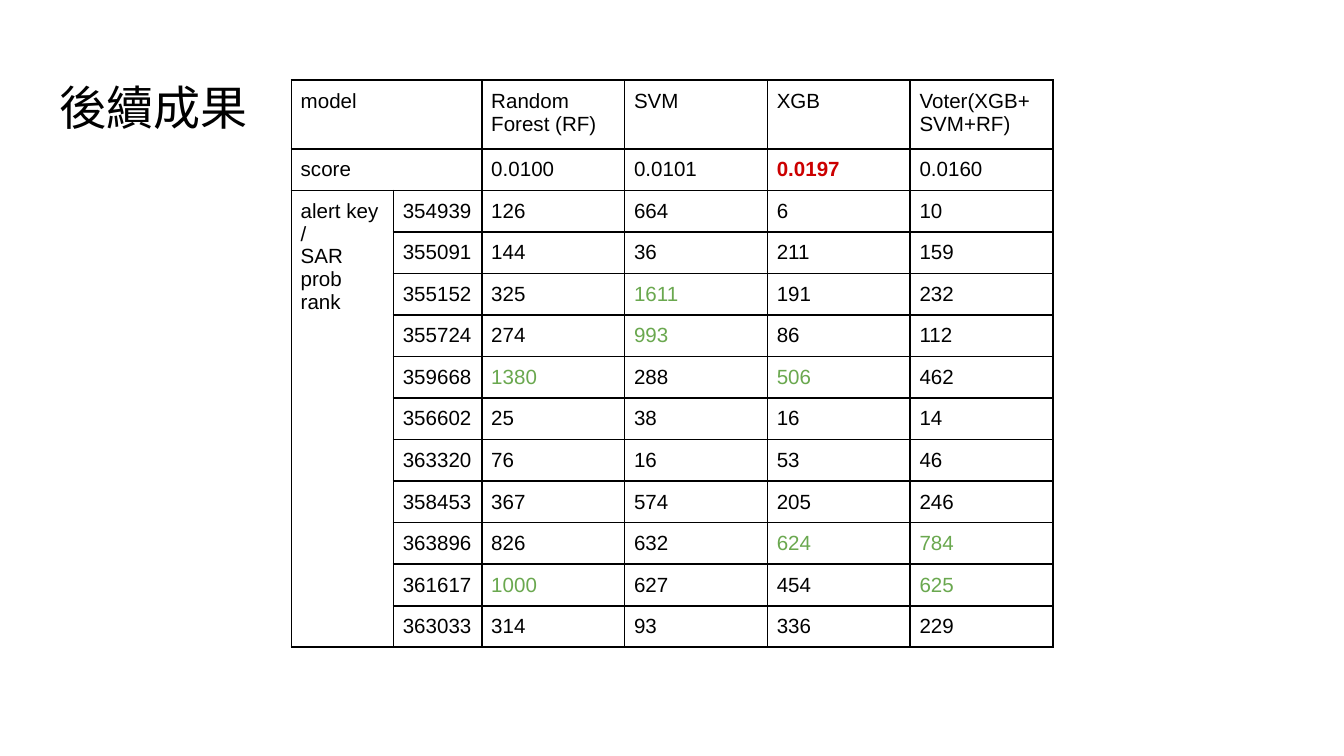
from lxml.etree import SubElement
from pptx import Presentation
from pptx.dml.color import RGBColor as RGB
from pptx.enum.text import MSO_ANCHOR as Anchor, MSO_AUTO_SIZE as AutoSize, PP_ALIGN as Align
from pptx.oxml.ns import qn
from pptx.util import Pt

FONT = "Arial"
BLACK, RED, GREEN = "000000", "CC0000", "6AA84F"

MODELS = ["Random Forest (RF)", "SVM", "XGB", "Voter(XGB+SVM+RF)"]
SCORES = ["0.0100", "0.0101", "0.0197", "0.0160"]
# Rank of each alert key under each model
RANKS = {
    354939: [126, 664, 6, 10],
    355091: [144, 36, 211, 159],
    355152: [325, 1611, 191, 232],
    355724: [274, 993, 86, 112],
    359668: [1380, 288, 506, 462],
    356602: [25, 38, 16, 14],
    363320: [76, 16, 53, 46],
    358453: [367, 574, 205, 246],
    363896: [826, 632, 624, 784],
    361617: [1000, 627, 454, 625],
    363033: [314, 93, 336, 229],
}
COL_WIDTHS = [54.7, 47.4] + [76.5] * len(MODELS)
ROW_HEIGHTS = [36.7, 22.3, 22.3] + [21] * (len(RANKS) - 1)


def rgb(color):
    return RGB.from_string(color)


def style_paragraph(p, size, color=BLACK, bold=False):
    p.alignment = Align.LEFT
    p.font.name = FONT
    p.font.size = Pt(size)
    p.font.bold = bold
    p.font.color.rgb = rgb(color)


def add_title(s, text):
    sp = s.shapes.title
    sp.left, sp.top, sp.width, sp.height = Pt(24.5), Pt(35), Pt(671), Pt(45.4)
    tf = sp.text_frame
    tf.text = text
    tf.word_wrap = True
    tf.auto_size = AutoSize.NONE
    tf.vertical_anchor = Anchor.TOP
    tf.margin_left = tf.margin_right = tf.margin_top = tf.margin_bottom = Pt(7.2)
    style_paragraph(tf.paragraphs[0], 25.2)


def set_borders(cell, color=BLACK, width=1):
    tc_pr = cell._tc.get_or_add_tcPr()
    for side in ("a:lnL", "a:lnR", "a:lnT", "a:lnB"):
        ln = SubElement(tc_pr, qn(side), w=str(Pt(width)))
        fill = SubElement(ln, qn("a:solidFill"))
        SubElement(fill, qn("a:srgbClr"), val=color)


def fill_cell(cell, text, color=BLACK, bold=False):
    cell.text = str(text)
    for p in cell.text_frame.paragraphs:
        style_paragraph(p, 11, color, bold)


def add_grid(s, left, top):
    frame = s.shapes.add_table(len(ROW_HEIGHTS), len(COL_WIDTHS), Pt(left), Pt(top),
                               Pt(sum(COL_WIDTHS)), Pt(sum(ROW_HEIGHTS)))
    table = frame.table
    table.first_row = table.horz_banding = False
    for column, width in zip(table.columns, COL_WIDTHS):
        column.width = Pt(width)
    for row, height in zip(table.rows, ROW_HEIGHTS):
        row.height = Pt(height)
    for cell in table.iter_cells():
        cell.margin_left = cell.margin_right = cell.margin_top = cell.margin_bottom = Pt(5)
        set_borders(cell)
        cell.fill.background()
    return table


def fill_results(table):
    # Row labels, merged over the key column or down the key rows
    for row, label in enumerate(["model", "score"]):
        table.cell(row, 0).merge(table.cell(row, 1))
        fill_cell(table.cell(row, 0), label)
    table.cell(2, 0).merge(table.cell(len(RANKS) + 1, 0))
    fill_cell(table.cell(2, 0), "alert key\n/\nSAR prob rank")
    for row, key in enumerate(RANKS, 2):
        fill_cell(table.cell(row, 1), key)

    # One column per model: best score in red, two worst ranks in green
    for col, (model, score, ranks) in enumerate(zip(MODELS, SCORES, zip(*RANKS.values())), 2):
        best = score == max(SCORES)
        worst = sorted(ranks)[-2:]
        fill_cell(table.cell(0, col), model)
        fill_cell(table.cell(1, col), score, RED if best else BLACK, best)
        for row, rank in enumerate(ranks, 2):
            fill_cell(table.cell(row, col), rank, GREEN if rank in worst else BLACK)


def main():
    prs = Presentation()
    prs.slide_width, prs.slide_height = Pt(720), Pt(405)
    s = prs.slides.add_slide(prs.slide_layouts[5])
    add_title(s, "後續成果")
    fill_results(add_grid(s, 156.1, 43))
    prs.save("out.pptx")


if __name__ == "__main__":
    main()
